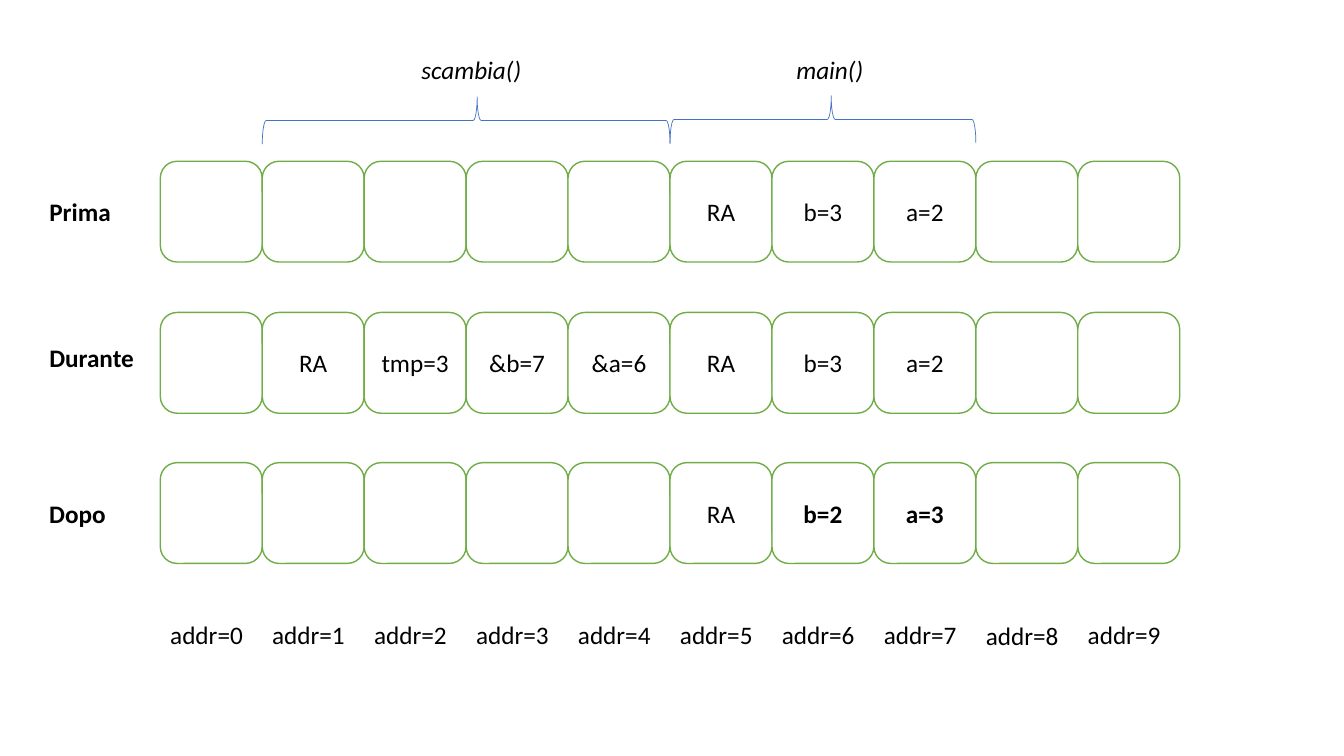
from dataclasses import dataclass

from pptx import Presentation
from pptx.dml.color import RGBColor
from pptx.enum.shapes import MSO_SHAPE
from pptx.enum.text import MSO_ANCHOR, MSO_AUTO_SIZE, PP_ALIGN
from pptx.util import Inches, Pt

ROUNDED = MSO_SHAPE.ROUNDED_RECTANGLE
BRACE = MSO_SHAPE.RIGHT_BRACE
MIDDLE = MSO_ANCHOR.MIDDLE
GROW = MSO_AUTO_SIZE.SHAPE_TO_FIT_TEXT
CENTER = PP_ALIGN.CENTER


@dataclass(frozen=True)
class Theme:
    font: str = "Calibri"
    size: Pt = Pt(18)
    text: RGBColor = RGBColor(0x00, 0x00, 0x00)
    cell_fill: RGBColor = RGBColor(0xFF, 0xFF, 0xFF)
    cell_line: RGBColor = RGBColor(0x70, 0xAD, 0x47)
    brace_line: RGBColor = RGBColor(0x44, 0x72, 0xC4)


theme = Theme()

# Memory grid: ten addresses across, three moments down
CELLS = 10
CELL_LEFT = 1.59
CELL_WIDTH = (10.69 - CELL_LEFT) / (CELLS - 1)
CELL_HEIGHT = 1

# Name, label top, label width, cell top, contents by address, changed addresses
moments = [
    ("Prima", 1.9, 0.82, 1.6, {5: "RA", 6: "b=3", 7: "a=2"}, ()),
    ("Durante", 3.35, 1.05, 3.1,
     {1: "RA", 2: "tmp=3", 3: "&b=7", 4: "&a=6", 5: "RA", 6: "b=3", 7: "a=2"}, ()),
    ("Dopo", 4.89, 0.77, 4.59, {5: "RA", 6: "b=2", 7: "a=3"}, (6, 7)),
]

# Name, label left, label width, first address, cell count, brace top
calls = [
    ("main()", 7.8, 0.87, 5, 3, 0.95),
    ("scambia()", 4.08, 1.19, 1, 4, 0.96),
]
BRACE_DEPTH = 0.47


def write(box, text, **styles):
    span = box.text_frame.paragraphs[0].add_run()
    span.text = text
    formats = {"name": theme.font, "size": theme.size, **styles}
    for attribute, value in formats.items():
        setattr(span.font, attribute, value)
    span.font.color.rgb = theme.text


def add_label(text, left, top, width, **styles):
    box = page.shapes.add_textbox(Inches(left), Inches(top), Inches(width), Inches(0.4))
    box.text_frame.word_wrap = False
    box.text_frame.auto_size = GROW
    write(box, text, **styles)


deck = Presentation()
deck.slide_width = Inches(13.33)
deck.slide_height = Inches(7.5)
page = deck.slides.add_slide(deck.slide_layouts[6])

# Memory cells and the name of each moment
for name, label_top, label_width, cell_top, contents, changed in moments:
    for address in range(CELLS):
        cell = page.shapes.add_shape(
            ROUNDED, Inches(CELL_LEFT + address * CELL_WIDTH), Inches(cell_top),
            Inches(CELL_WIDTH), Inches(CELL_HEIGHT))
        cell.shadow.inherit = False
        cell.fill.solid()
        cell.fill.fore_color.rgb = theme.cell_fill
        cell.line.color.rgb = theme.cell_line
        cell.line.width = Pt(1)
        if address in contents:
            cell.text_frame.vertical_anchor = MIDDLE
            cell.text_frame.paragraphs[0].alignment = CENTER
            write(cell, contents[address], bold=address in changed)
    add_label(name, 0.39, label_top, label_width, bold=True)

# Braces over the stack frame of each function, turned to point upwards
for name, label_left, label_width, first, count, top in calls:
    span_width = count * CELL_WIDTH
    center_x = CELL_LEFT + first * CELL_WIDTH + span_width / 2
    center_y = top + BRACE_DEPTH / 2
    brace = page.shapes.add_shape(
        BRACE, Inches(center_x - BRACE_DEPTH / 2), Inches(center_y - span_width / 2),
        Inches(BRACE_DEPTH), Inches(span_width))
    brace.rotation = 270
    brace.adjustments[0] = 0.083
    brace.adjustments[1] = 0.527
    brace.shadow.inherit = False
    brace.fill.background()
    brace.line.color.rgb = theme.brace_line
    brace.line.width = Pt(0.5)
    add_label(name, label_left, 0.49, label_width, italic=True)

# Addresses below the grid
for address in range(CELLS):
    top = 6.1 if address == 8 else 6.09
    add_label(f"addr={address}", CELL_LEFT + address * CELL_WIDTH, top, 0.93)

deck.save("out.pptx")
